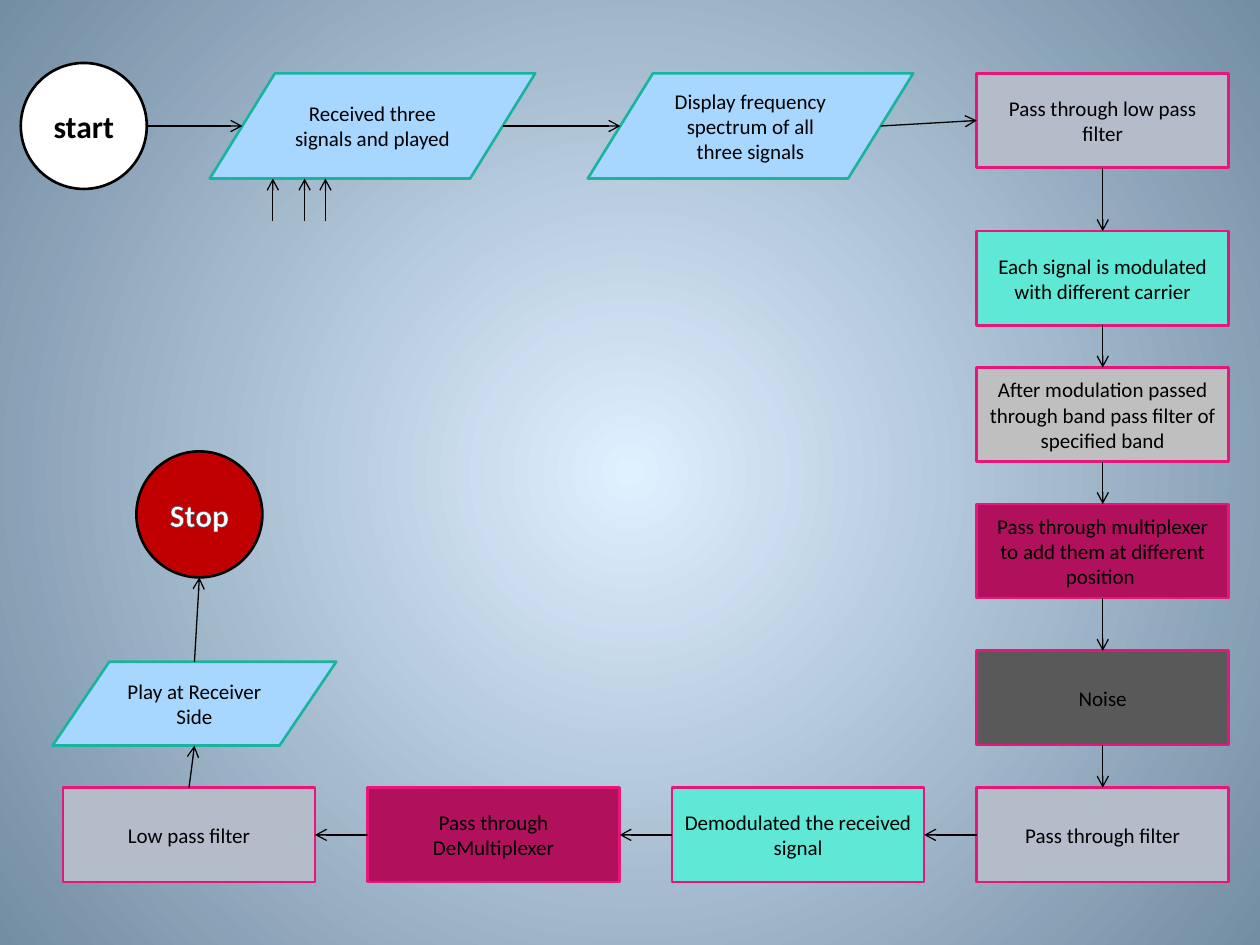
"""Build a flowchart slide of a frequency division multiplexing chain."""
from dataclasses import dataclass

from lxml import etree
from pptx import Presentation
from pptx.dml.color import RGBColor
from pptx.enum.shapes import MSO_CONNECTOR, MSO_SHAPE
from pptx.enum.text import MSO_ANCHOR, PP_ALIGN
from pptx.oxml.ns import qn
from pptx.slide import Slide
from pptx.util import Cm, Pt

CIRCLE = MSO_SHAPE.OVAL
DATA = MSO_SHAPE.FLOWCHART_DATA
BOX = MSO_SHAPE.RECTANGLE
STRAIGHT = MSO_CONNECTOR.STRAIGHT
CENTER = PP_ALIGN.CENTER
MIDDLE = MSO_ANCHOR.MIDDLE


@dataclass(frozen=True)
class Theme:
    """Colours, font and sizes of the slide."""
    font: str = "Calibri"
    step_size: float = 12
    terminal_size: float = 18
    border_width: float = 1.5
    arrow_width: float = 0.75
    glow_center: str = "DFF0FF"
    glow_edge: str = "738DA3"
    black: str = "000000"
    white: str = "FFFFFF"
    red: str = "C00000"
    sky: str = "A7D6FF"
    teal: str = "1AB39F"
    mint: str = "5FE8D6"
    steel: str = "B4BCCA"
    silver: str = "BFBFBF"
    charcoal: str = "595959"
    plum: str = "B0105C"
    pink: str = "EA157A"
    text_outline: str = "455978"


THEME = Theme()
BORDERS = {CIRCLE: THEME.black, DATA: THEME.teal, BOX: THEME.pink}


@dataclass(frozen=True)
class Stage:
    """One step of the flow, measured in centimetres."""
    text: str
    kind: MSO_SHAPE
    left: float
    top: float
    width: float
    height: float
    fill: str
    ink: str = THEME.black

    def anchor(self, side: str) -> tuple[float, float]:
        """Return the middle of a side, following the slant of data shapes."""
        inset = self.width / 10 if self.kind == DATA else 0
        center_x = self.left + self.width / 2
        center_y = self.top + self.height / 2
        return {
            "top": (center_x, self.top),
            "bottom": (center_x, self.top + self.height),
            "left": (self.left + inset, center_y),
            "right": (self.left + self.width - inset, center_y),
        }[side]


def rgb(value: str) -> RGBColor:
    """Turn a hex string into a colour."""
    return RGBColor.from_string(value)


def paint_background(slide: Slide) -> None:
    """Fill the background with a radial gradient."""
    fill = slide.background.fill
    fill.gradient()
    for stop, color in zip(fill.gradient_stops, (THEME.glow_center, THEME.glow_edge)):
        stop.color.rgb = rgb(color)
    linear = next(slide.element.iter(qn("a:lin")))
    radial = etree.Element(qn("a:path"), {"path": "circle"})
    etree.SubElement(radial, qn("a:fillToRect"), dict.fromkeys("ltrb", "50000"))
    linear.getparent().replace(linear, radial)


def outline_text(run) -> None:
    """Give a run a thin outline."""
    line = etree.Element(qn("a:ln"), {"w": str(Pt(1))})
    solid = etree.SubElement(line, qn("a:solidFill"))
    etree.SubElement(solid, qn("a:srgbClr"), {"val": THEME.text_outline})
    run.font._element.insert(0, line)


def draw_stage(slide: Slide, stage: Stage) -> None:
    """Draw a stage with its label."""
    shape = slide.shapes.add_shape(
        stage.kind, Cm(stage.left), Cm(stage.top), Cm(stage.width), Cm(stage.height))
    shape.shadow.inherit = False
    shape.fill.solid()
    shape.fill.fore_color.rgb = rgb(stage.fill)
    shape.line.color.rgb = rgb(BORDERS[stage.kind])
    shape.line.width = Pt(THEME.border_width)
    frame = shape.text_frame
    frame.text = stage.text
    frame.word_wrap = True
    frame.vertical_anchor = MIDDLE
    label = frame.paragraphs[0]
    label.alignment = CENTER
    run = label.runs[0]
    terminal = stage.kind == CIRCLE
    run.font.name = THEME.font
    run.font.size = Pt(THEME.terminal_size if terminal else THEME.step_size)
    run.font.color.rgb = rgb(stage.ink)
    if terminal:
        run.font.bold = True
        outline_text(run)


def draw_arrow(slide: Slide, start: tuple[float, float], end: tuple[float, float]) -> None:
    """Draw a thin arrow between two points."""
    arrow = slide.shapes.add_connector(STRAIGHT, *(Cm(value) for value in start + end))
    arrow.line.color.rgb = rgb(THEME.black)
    arrow.line.width = Pt(THEME.arrow_width)
    etree.SubElement(arrow.line._get_or_add_ln(), qn("a:tailEnd"), {"type": "arrow"})
    etree.SubElement(arrow._element.spPr, qn("a:effectLst"))


def make_box(text: str, left: float, top: float, fill: str) -> Stage:
    """Return a processing step of the common size."""
    return Stage(text, BOX, left, top, 5.08, 1.9, fill)


COLUMN_LEFT, TOP_ROW, BOTTOM_ROW, COLUMN_STEP = 19.69, 1.48, 15.88, 6.14

start = Stage("start", CIRCLE, 0.42, 1.27, 2.54, 2.54, THEME.white)
receive = Stage("Received three signals and played", DATA, 4.23, TOP_ROW, 6.56, 2.12, THEME.sky)
display = Stage("Display frequency spectrum of all three signals", DATA,
                11.85, TOP_ROW, 6.56, 2.12, THEME.sky)
transmission = [make_box(text, COLUMN_LEFT, top, fill) for text, top, fill in (
    ("Pass through low pass filter", TOP_ROW, THEME.steel),
    ("Each signal is modulated with different carrier", 4.66, THEME.mint),
    ("After modulation passed through band pass filter of specified band", 7.41, THEME.silver),
    ("Pass through multiplexer to add them at different position ", 10.16, THEME.plum),
    ("Noise", 13.12, THEME.charcoal),
    ("Pass through filter", BOTTOM_ROW, THEME.steel),
)]
reception = [make_box(text, COLUMN_LEFT - COLUMN_STEP * position, BOTTOM_ROW, fill)
             for position, (text, fill) in enumerate((
                 ("Demodulated the received signal", THEME.mint),
                 ("Pass through DeMultiplexer", THEME.plum),
                 ("Low pass filter", THEME.steel),
             ), start=1)]
playback = Stage("Play at Receiver Side", DATA, 1.06, 13.34, 5.72, 1.69, THEME.sky)
stop = Stage("Stop", CIRCLE, 2.75, 9.1, 2.54, 2.54, THEME.red, THEME.white)

ROUTES = (
    ([start, receive, display, transmission[0]], "right", "left"),
    (transmission, "bottom", "top"),
    ([transmission[-1], *reception], "left", "right"),
    ([reception[-1], playback, stop], "top", "bottom"),
)
SIGNAL_INPUTS = (5.5, 6.14, 6.56)
SIGNAL_LENGTH = 0.85


def main() -> None:
    """Build and save the presentation."""
    deck = Presentation()
    deck.slide_width, deck.slide_height = Cm(25.4), Cm(19.05)
    slide = deck.slides.add_slide(deck.slide_layouts[6])
    paint_background(slide)
    for stage in (start, receive, display, *transmission, *reception, playback, stop):
        draw_stage(slide, stage)
    for stages, exit_side, entry_side in ROUTES:
        for source, target in zip(stages, stages[1:]):
            draw_arrow(slide, source.anchor(exit_side), target.anchor(entry_side))
    base = receive.top + receive.height
    for x in SIGNAL_INPUTS:
        draw_arrow(slide, (x, base + SIGNAL_LENGTH), (x, base))
    deck.save("out.pptx")


main()
